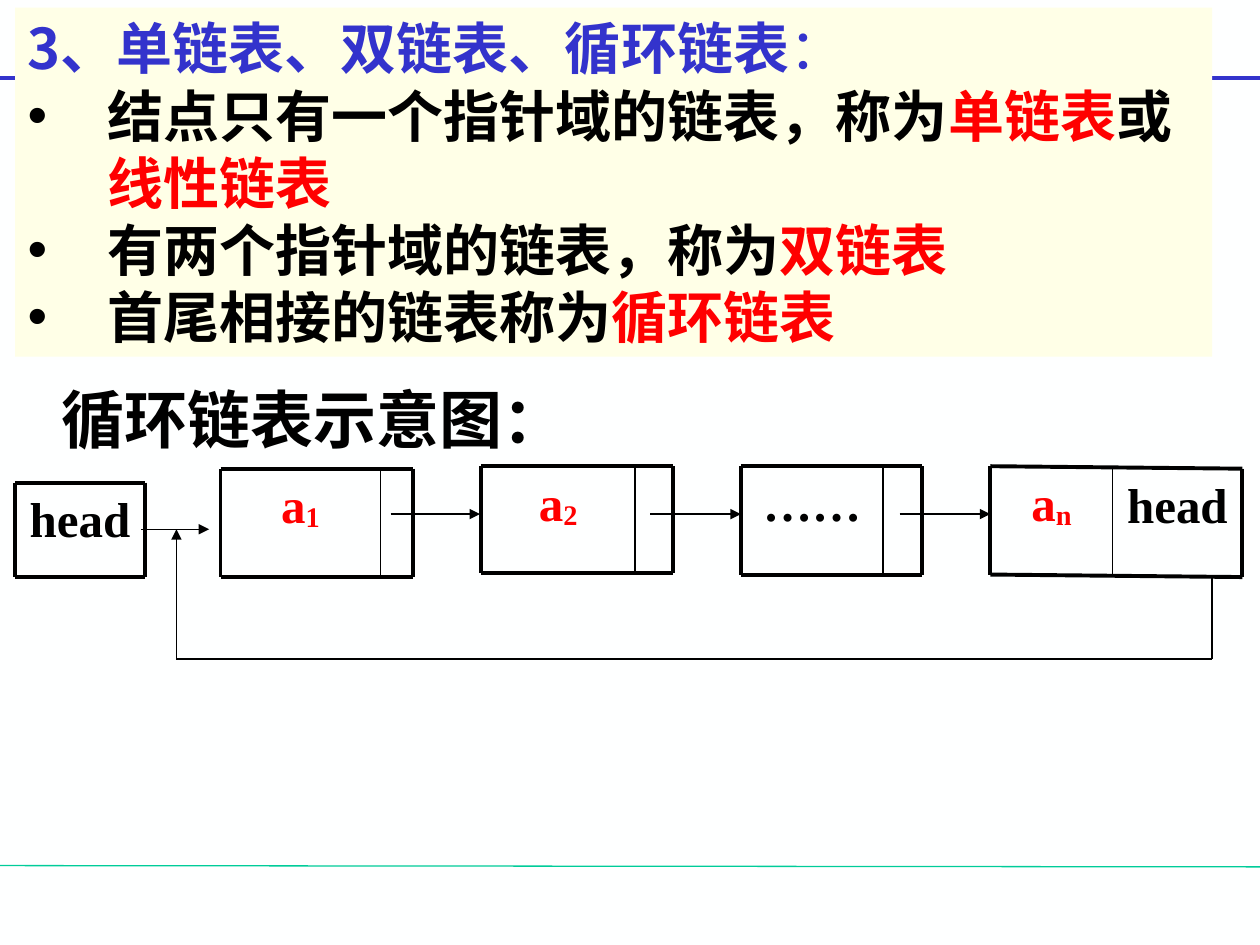
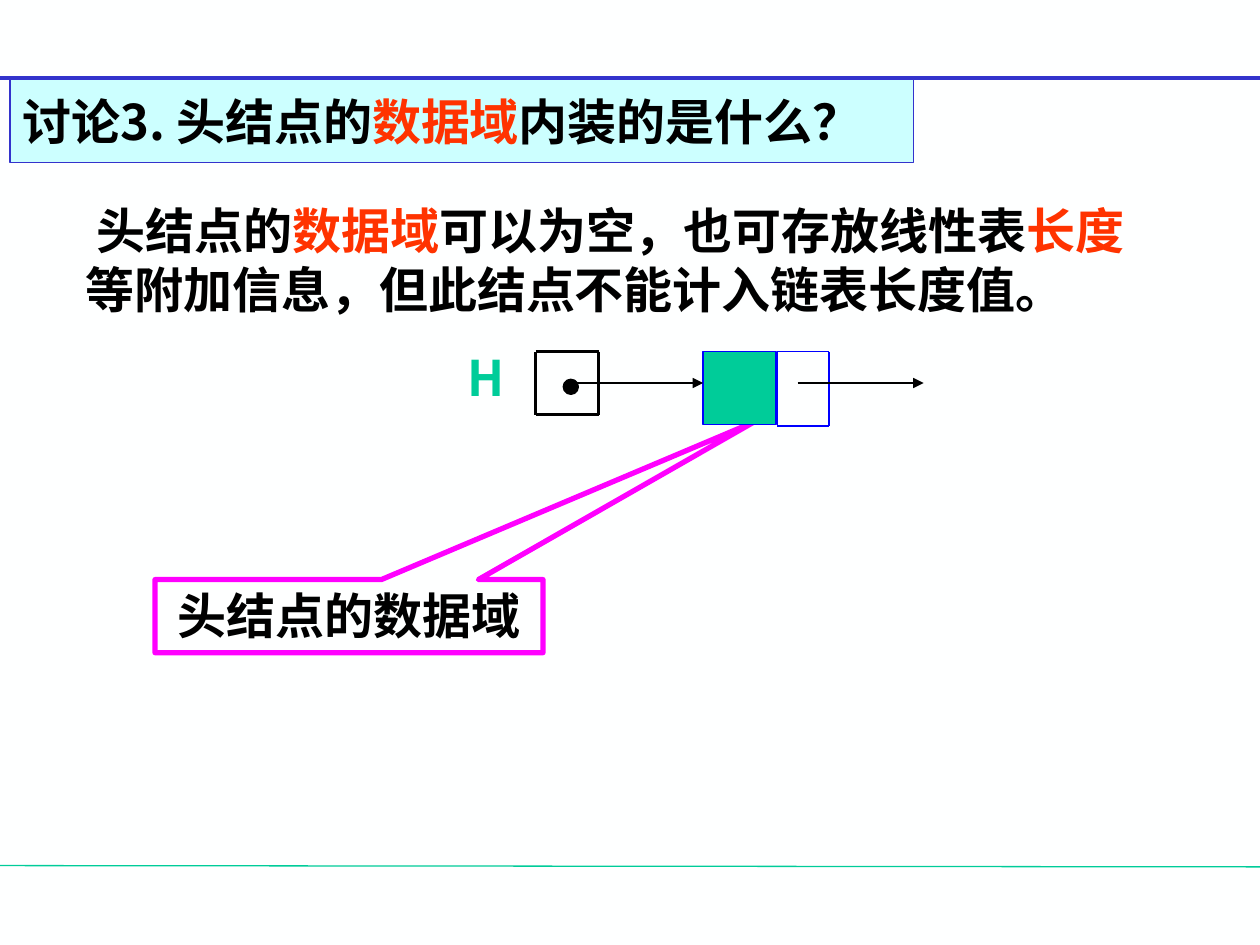
from dataclasses import dataclass

from lxml import etree
from pptx import Presentation
from pptx import util as u
from pptx.dml import color
from pptx.enum import shapes, text
from pptx.oxml import ns

Inches = u.Inches
SHAPE = shapes.MSO_SHAPE
LEFT, CENTER = text.PP_ALIGN.LEFT, text.PP_ALIGN.CENTER


@dataclass(frozen=True)
class Theme:
    sans: str = "Noto Sans CJK SC"
    serif: str = "Times New Roman"
    background: str = "FEFFFF"
    black: str = "000000"
    blue: str = "3333CC"
    bright_blue: str = "0000FF"
    green: str = "00CC99"
    red: str = "FF0000"
    orange: str = "FF3300"
    magenta: str = "FF00FF"
    cream: str = "FFFFE7"
    pale_cyan: str = "CCFFFF"
    normal: float = 28
    list_size: float = 32
    caption: float = 36
    thin: float = 0.75
    medium: float = 1
    thick: float = 2.25
    callout: float = 3


THEME = Theme()


@dataclass(frozen=True)
class Area:
    left: float
    top: float
    width: float
    height: float

    def lengths(self) -> list:
        return [Inches(n) for n in (self.left, self.top, self.width, self.height)]


@dataclass(frozen=True)
class Span:
    text: str
    colour: str = THEME.black
    bold: bool = True
    baseline: int = 0


@dataclass(frozen=True)
class Style:
    size: float = THEME.normal
    font: str = THEME.sans
    align: text.PP_ALIGN = LEFT
    hanging: float = 0
    bullet: bool = False


@dataclass(frozen=True)
class Node:
    area: Area
    data_width: float
    spans: tuple
    drop: float = 0


def element_name(subscript: str) -> tuple:
    return Span("a", THEME.red), Span(subscript, THEME.red, baseline=-8000)


LABEL = Style(font=THEME.serif, align=CENTER)
HEAD = (Span("head"),)
NODES = (
    Node(Area(0.12, 3.83, 1.03, 0.75), 1.03, HEAD),
    Node(Area(1.75, 3.72, 1.53, 0.86), 1.27, element_name("1")),
    Node(Area(3.82, 3.7, 1.52, 0.85), 1.22, element_name("2")),
    Node(Area(5.88, 3.7, 1.44, 0.86), 1.13, (Span("……"),)),
    Node(Area(7.86, 3.7, 2, 0.86), 0.97, element_name("n"), drop=0.02),
)


def rgb(value: str) -> color.RGBColor:
    return color.RGBColor.from_string(value)


def add_element(parent, tag: str, **attributes: str):
    return etree.SubElement(parent, ns.qn(tag), attributes)


def write_para(para, spans: tuple, style: Style) -> None:
    para.alignment = style.align
    para.space_before = u.Pt(0)
    properties = para._p.get_or_add_pPr()
    properties.set("marL", str(Inches(style.hanging)))
    properties.set("indent", str(-Inches(style.hanging)))
    if style.bullet:
        add_element(add_element(properties, "a:buClr"), "a:srgbClr", val=THEME.black)
        add_element(properties, "a:buChar", char="•")
    else:
        add_element(properties, "a:buNone")
    para.font.size = u.Pt(style.size)
    para.font.name = style.font
    para.font.bold = True
    para.font.color.rgb = rgb(spans[0].colour)
    add_element(properties.find(ns.qn("a:defRPr")), "a:ea", typeface=style.font)
    for item in spans:
        span = para.add_run()
        span.text = item.text
        if item.colour != spans[0].colour:
            span.font.color.rgb = rgb(item.colour)
        if not item.bold:
            span.font.bold = False
        if item.baseline:
            span.font._element.set("baseline", str(item.baseline))


def write(box, rows: list, anchor=text.MSO_ANCHOR.TOP, wrap: bool = True) -> None:
    frame = box.text_frame
    frame.word_wrap = wrap
    frame.auto_size = text.MSO_AUTO_SIZE.NONE
    frame.vertical_anchor = anchor
    for index, (spans, style) in enumerate(rows):
        para = frame.add_paragraph() if index else frame.paragraphs[0]
        write_para(para, spans, style)


def place(box, area: Area) -> None:
    box.left, box.top, box.width, box.height = area.lengths()


def paint(box, fill: str | None, line: str | None, width: float) -> None:
    if fill:
        box.fill.solid()
        box.fill.fore_color.rgb = rgb(fill)
    else:
        box.fill.background()
    if line:
        box.line.color.rgb = rgb(line)
        box.line.width = u.Pt(width)


def add_box(page, area: Area, fill: str | None, line: str, width: float,
            kind=SHAPE.RECTANGLE):
    box = page.shapes.add_shape(kind, *area.lengths())
    box.shadow.inherit = False
    paint(box, fill, line, width)
    return box


def add_label(page, area: Area, spans: tuple, style: Style, wrap: bool = True) -> None:
    write(page.shapes.add_textbox(*area.lengths()), [(spans, style)], wrap=wrap)


def add_line(page, start: tuple, end: tuple, colour: str = THEME.black,
             width: float = THEME.thin, arrow: bool = False):
    points = [Inches(n) for n in (*start, *end)]
    line = page.shapes.add_connector(shapes.MSO_CONNECTOR.STRAIGHT, *points)
    line.line.color.rgb = rgb(colour)
    line.line.width = u.Pt(width)
    if arrow:
        add_element(line.line._get_or_add_ln(), "a:tailEnd", type="triangle")
    add_element(line._element.spPr, "a:effectLst")
    return line


def add_frame(page, area: Area, colour: str = THEME.black, width: float = THEME.thick,
              drop: float = 0) -> None:
    right, bottom = area.left + area.width, area.top + area.height
    for y in (area.top, bottom):
        add_line(page, (area.left, y), (right, y + drop), colour, width)
    for x, shift in ((area.left, 0), (right, drop)):
        add_line(page, (x, area.top + shift), (x, bottom + shift), colour, width)


def add_node(page, node: Node) -> None:
    area = node.area
    add_label(page, Area(area.left, area.top, node.data_width, area.height), node.spans, LABEL)
    add_frame(page, area, drop=node.drop)
    if node.data_width < area.width:
        split, top = area.left + node.data_width, area.top + node.drop
        add_line(page, (split, top), (split, top + area.height), width=THEME.medium)


def set_up_master(deck, page) -> None:
    master = deck.slide_master
    master.background.fill.solid()
    master.background.fill.fore_color.rgb = rgb(THEME.background)
    rules = ((6.87, 6.88, THEME.green, THEME.thin), (0.62, 0.62, THEME.blue, THEME.thick))
    for start, end, colour, width in rules:
        line = add_line(page, (0, start), (10, end), colour, width)
        master.shapes.element.append(line._element)


def build_list_kinds(page) -> None:
    for node in NODES:
        add_node(page, node)
    add_label(page, Area(8.83, 3.72, 1.03, 0.75), HEAD, LABEL)
    add_line(page, (1.12, 4.2), (1.66, 4.2), arrow=True)
    for start, end in ((3.1, 3.81), (5.16, 5.88), (7.14, 7.86)):
        add_line(page, (start, 4.08), (end, 4.08), arrow=True)
    loop = ((9.62, 4.58), (9.62, 5.23), (1.4, 5.23), (1.4, 4.2))
    for start, end in zip(loop, loop[1:]):
        add_line(page, start, end, arrow=end == loop[-1])

    title, body = page.placeholders
    place(title, Area(0.39, 2.97, 6.03, 0.7))
    write(title, [((Span("循环链表示意图："),), Style(THEME.caption))])
    place(body, Area(0.12, 0.06, 9.5, 2.77))
    paint(body, THEME.cream, None, 0)
    heading = Style(THEME.list_size, hanging=0.63)
    item = Style(THEME.list_size, hanging=0.63, bullet=True)
    write(body, [
        ((Span("3、单链表、双链表、循环链表", THEME.blue),
          Span("：", THEME.blue, bold=False)), heading),
        ((Span("结点只有一个指针域的链表，称为"), Span("单链表", THEME.red),
          Span("或"), Span("线性链表", THEME.red)), item),
        ((Span("有两个指针域的链表，称为"), Span("双链表", THEME.red)), item),
        ((Span("首尾相接的链表称为"), Span("循环链表", THEME.red)), item),
    ])


def build_head_node(page) -> None:
    title, body = page.placeholders
    place(title, Area(0.08, 0.63, 7.17, 0.66))
    paint(title, THEME.pale_cyan, THEME.blue, THEME.thin)
    write(title, [((Span("讨论3. 头结点的"), Span("数据域", THEME.orange),
                    Span("内装的是什么？")), Style())], text.MSO_ANCHOR.MIDDLE)
    place(body, Area(0.58, 1.54, 8.75, 1.04))
    write(body, [((Span(" 头结点的"), Span("数据域", THEME.orange),
                   Span("可以为空，也可存放线性表"), Span("长度", THEME.orange),
                   Span("等附加信息，但此结点不能计入链表长度值。")), Style())])

    callout = add_box(page, Area(1.23, 4.6, 3.08, 0.58), None, THEME.magenta,
                      THEME.callout, SHAPE.RECTANGULAR_CALLOUT)
    callout.adjustments[0], callout.adjustments[1] = 1.043, -2.655
    write(callout, [((Span("头结点的数据域"),), Style(align=CENTER))])

    add_frame(page, Area(4.25, 2.79, 0.5, 0.5))
    add_box(page, Area(4.47, 3.01, 0.12, 0.12), THEME.black, THEME.black, THEME.thin, SHAPE.OVAL)
    add_box(page, Area(5.58, 2.79, 0.58, 0.58), THEME.green, THEME.bright_blue, THEME.medium)
    add_frame(page, Area(6.17, 2.79, 0.41, 0.59), THEME.bright_blue, THEME.medium)
    for start, end in ((4.58, 5.58), (6.33, 7.33)):
        add_line(page, (start, 3.04), (end, 3.04), arrow=True)
    add_label(page, Area(3.61, 2.71, 0.49, 0.57), (Span("H", THEME.green),), Style(), wrap=False)


def main() -> None:
    deck = Presentation()
    deck.slide_width, deck.slide_height = Inches(10), Inches(7.5)
    for number, build in enumerate((build_list_kinds, build_head_node)):
        page = deck.slides.add_slide(deck.slide_layouts[1])
        if number == 0:
            set_up_master(deck, page)
        build(page)
    deck.save("out.pptx")


if __name__ == "__main__":
    main()
